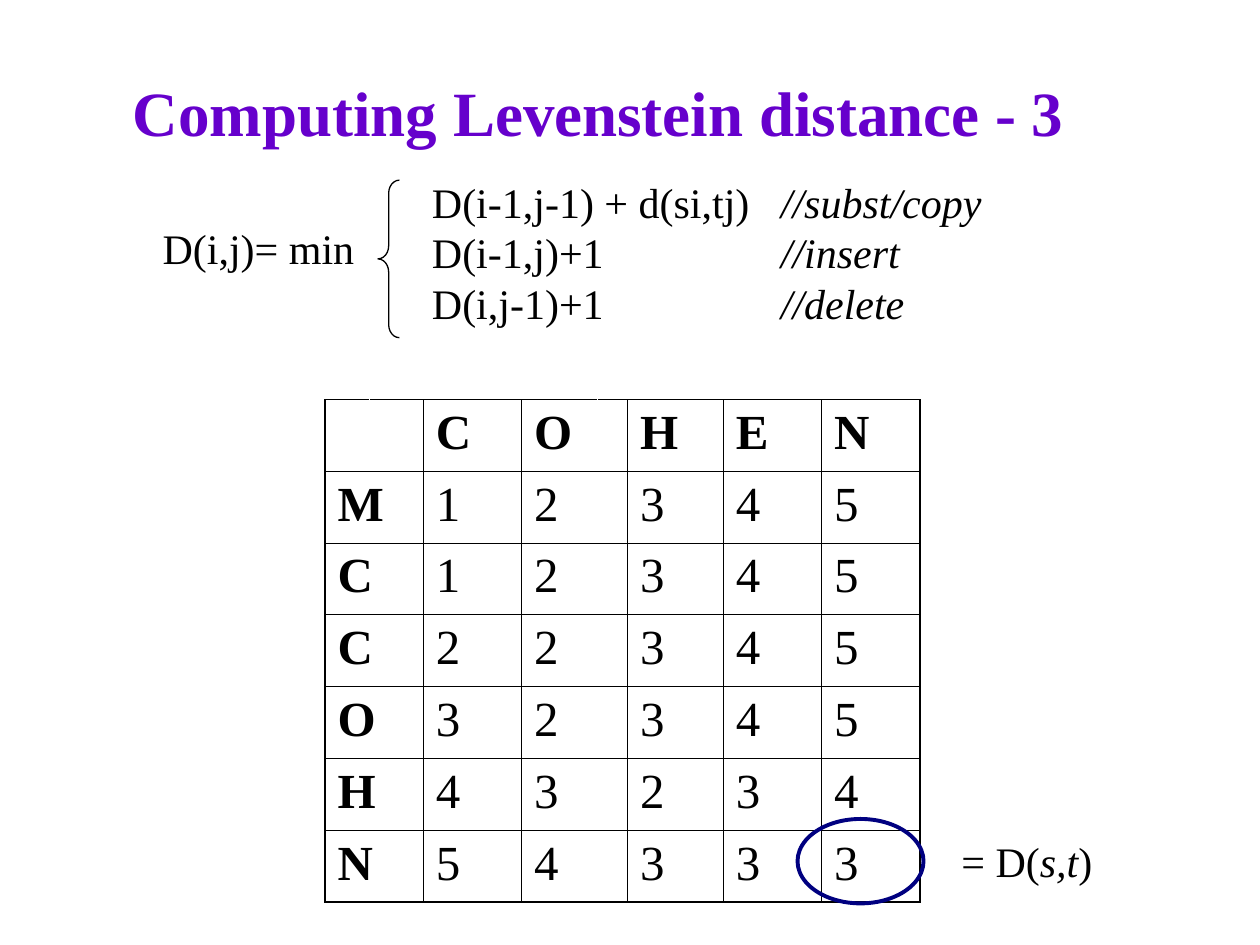
from dataclasses import dataclass
from typing import NamedTuple

from lxml.etree import SubElement
from pptx import Presentation
from pptx.dml.color import RGBColor as RGB
from pptx.enum.shapes import MSO_SHAPE as Shape
from pptx.enum.text import MSO_ANCHOR as Anchor, PP_ALIGN as Align
from pptx.oxml.ns import qn
from pptx.util import Inches, Pt


@dataclass(frozen=True)
class Theme:
    font: str = "Times New Roman"
    ink: str = "000000"
    title: str = "6600CC"
    ring: str = "000080"
    blank: str = "FFFFFF"
    head: int = 36
    cell: int = 28
    body: int = 24
    thin: float = 0.45
    thick: float = 1.08


class Box(NamedTuple):
    """Place on a grid of 100 columns by 75 rows."""
    col: float
    row: float
    wide: float
    high: float


class Run(NamedTuple):
    text: str
    italic: bool = False


THEME = Theme()
UNIT = 0.1  # inches in one grid step

TITLE = Box(5, 4.2, 85, 9.2)
LEFT = Box(11.9, 17.2, 17.2, 5)
BRACE = Box(30, 14.3, 1.7, 12.5)
CASES = Box(33.3, 13.5, 45.6, 13)
TABLE = Box(25.8, 31.7, 47.2, 39.9)
RING = Box(63.3, 65, 10, 6.7)
RESULT = Box(75.3, 65.8, 12.4, 5)

RULES = [
    ("D(i-1,j-1) + d(si,tj)", "//subst/copy"),
    ("D(i-1,j)+1", "//insert"),
    ("D(i,j-1)+1", "//delete"),
]
RULE_TAB = 27.7

GRID = [" COHEN", "M12345", "C12345", "C22345", "O32345", "H43234", "N54333"]
COLS = [3.5, 4.3, 7.8, 6, 2.4, 7.6, 7.8, 7.8]
STARTS = [0, 2, 3, 5, 6, 7]
PAIRS = {0: 1, 3: 2}  # first column of a pair: first row where it is merged


def step(n: float) -> int:
    return Inches(n * UNIT)


def place(box: Box) -> list[int]:
    return [step(n) for n in box]


def write(frame, lines: list[list[Run]], *, size: int = THEME.body,
          color: str = THEME.ink, bold: bool = False,
          align: Align = Align.LEFT, tab: float = 0) -> None:
    for i, line in enumerate(lines):
        para = frame.add_paragraph() if i else frame.paragraphs[0]
        para.alignment = align
        if tab:
            stops = SubElement(para._p.get_or_add_pPr(), qn("a:tabLst"))
            SubElement(stops, qn("a:tab"), pos=str(step(tab)), algn="l")
        for text, italic in line:
            run = para.add_run()
            run.text = text
            font = run.font
            font.name, font.size = THEME.font, Pt(size)
            font.bold, font.italic = bold, italic
            font.color.rgb = RGB.from_string(color)


def label(slide, box: Box, lines: list[list[Run]], *, wrap: bool = False,
          anchor: Anchor = Anchor.TOP, **style) -> None:
    frame = slide.shapes.add_textbox(*place(box)).text_frame
    frame.word_wrap = wrap
    frame.vertical_anchor = anchor
    write(frame, lines, **style)


def outline(slide, kind: Shape, box: Box, color: str, width: float):
    shape = slide.shapes.add_shape(kind, *place(box))
    shape.shadow.inherit = False
    shape.fill.background()
    shape.line.color.rgb = RGB.from_string(color)
    shape.line.width = Pt(width)
    return shape


def edge(cell, side: str, color: str, width: float) -> None:
    line = SubElement(cell._tc.get_or_add_tcPr(), qn(f"a:ln{side}"),
                      w=str(Pt(width)))
    fill = SubElement(line, qn("a:solidFill"))
    SubElement(fill, qn("a:srgbClr"), val=color)


def border(cell, row: int, col: int) -> None:
    """Thick outer sides, thin inner ones, white inside a split pair."""
    def split(first: int) -> bool:
        return first in PAIRS and row < PAIRS[first]

    ends = {"L": col == 0, "R": col == len(COLS) - 1,
            "T": False, "B": row == len(GRID) - 1}
    white = {"L": split(col - 1), "R": split(col)}
    for side, outer in ends.items():
        edge(cell, side, THEME.blank if white.get(side) else THEME.ink,
             THEME.thick if outer else THEME.thin)


def matrix(slide) -> None:
    table = slide.shapes.add_table(len(GRID), len(COLS), *place(TABLE)).table
    table.first_row = table.horz_banding = False
    for col, wide in zip(table.columns, COLS):
        col.width = step(wide)
    for r, text in enumerate(GRID):
        table.rows[r].height = step(TABLE.high / len(GRID))
        for c in range(len(COLS)):
            cell = table.cell(r, c)
            border(cell, r, c)
            cell.fill.background()
        for first, start in PAIRS.items():
            if r >= start:
                table.cell(r, first).merge(table.cell(r, first + 1))
        for c, mark in zip(STARTS, text):
            if mark != " ":
                write(table.cell(r, c).text_frame, [[Run(mark)]],
                      size=THEME.cell, bold=r == 0 or c == 0)


def main() -> None:
    deck = Presentation()
    deck.slide_width, deck.slide_height = step(100), step(75)
    slide = deck.slides.add_slide(deck.slide_layouts[6])

    label(slide, TITLE, [[Run("Computing Levenstein distance - 3")]],
          wrap=True, anchor=Anchor.MIDDLE, size=THEME.head,
          color=THEME.title, bold=True, align=Align.CENTER)
    brace = outline(slide, Shape.LEFT_BRACE, BRACE, THEME.ink, 0.75)
    brace.adjustments[0] = 0.61
    label(slide, LEFT, [[Run("D(i,j)= min")]], align=Align.RIGHT)
    label(slide, CASES,
          [[Run(rule + "\t"), Run(note, True)] for rule, note in RULES],
          tab=RULE_TAB)
    matrix(slide)
    outline(slide, Shape.OVAL, RING, THEME.ring, 2.25)
    label(slide, RESULT, [[Run("= D("), Run("s,t", True), Run(")")]],
          align=Align.CENTER)

    deck.save("out.pptx")


if __name__ == "__main__":
    main()
